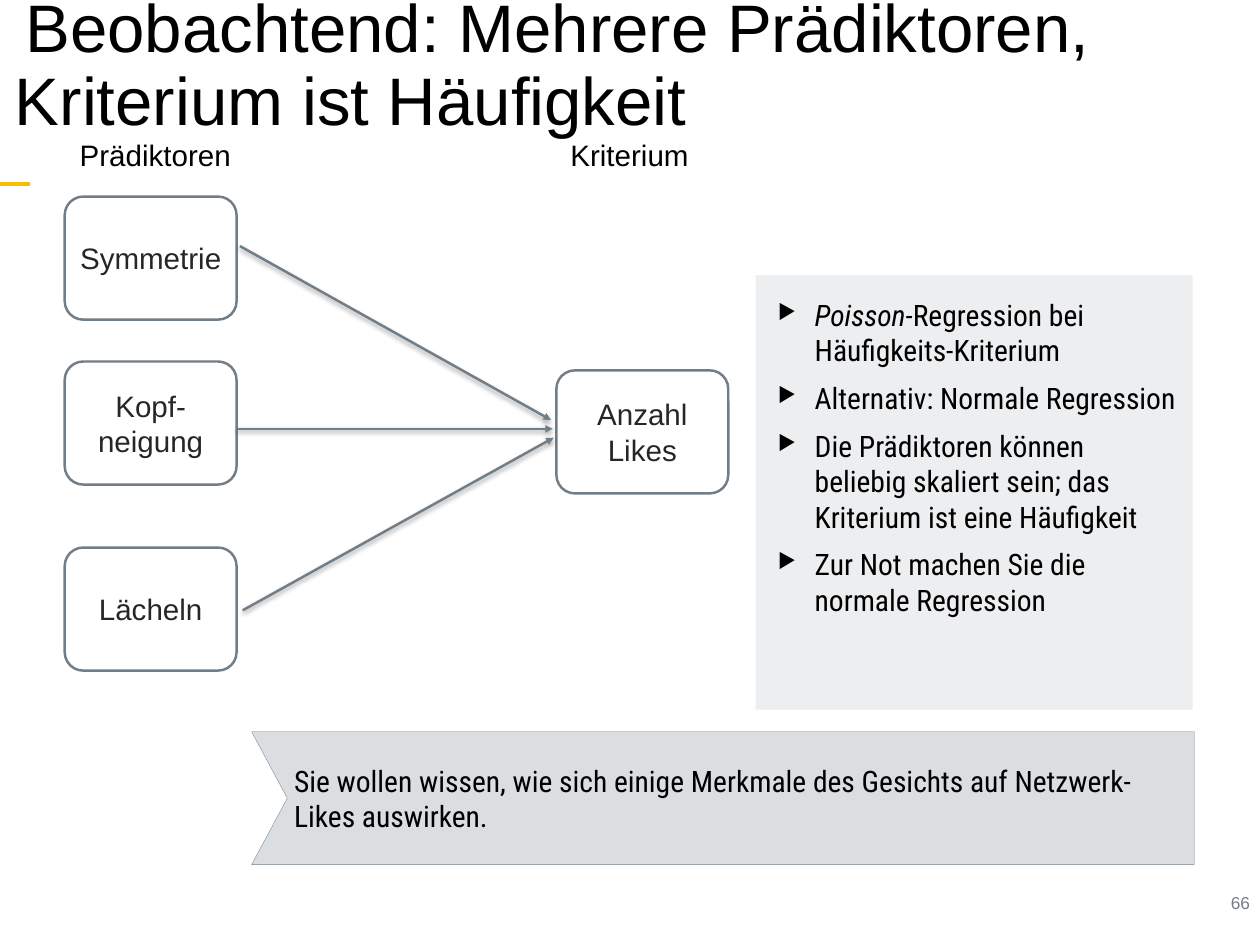
"""Build the slide on several predictors and a frequency criterion."""
from lxml import etree
from pptx import Presentation
from pptx import util as u
from pptx.dml.color import RGBColor
from pptx.enum import shapes, text
from pptx.oxml import parse_xml
from pptx.oxml.ns import nsdecls, qn

ANCHOR, ALIGN = text.MSO_ANCHOR, text.PP_ALIGN
SHAPE = shapes.MSO_SHAPE


def rgb(value):
    return RGBColor.from_string(value)


def points(values):
    return [u.Pt(v) for v in values]


def write(tf, content, size=24, font="Arial", color="000000", align=ALIGN.LEFT,
          anchor=ANCHOR.TOP, inset=5, wrap=True, spacing=1.0, before=0,
          left=0, first=0, bullet=None, italic=""):
    tf.word_wrap = wrap
    tf.vertical_anchor = anchor
    tf.margin_left = tf.margin_top = tf.margin_right = tf.margin_bottom = u.Pt(inset)
    for i, line in enumerate(content.split("\n")):
        p = tf.add_paragraph() if i else tf.paragraphs[0]
        ppr = p._p.get_or_add_pPr()
        ppr.set("marL", str(u.Pt(left)))
        ppr.set("indent", str(u.Pt(first)))
        if bullet:
            etree.SubElement(ppr, qn("a:buSzPct")).set("val", "70000")
            etree.SubElement(ppr, qn("a:buChar")).set("char", bullet)
        p.alignment = align
        p.line_spacing = spacing
        p.space_before = u.Pt(before if i else 0)
        lead = italic if line.startswith(italic) else ""
        for part, slanted in ((lead, True), (line[len(lead):], False)):
            if part:
                r = p.add_run()
                r.text = part
                r.font.size, r.font.name = u.Pt(size), font
                r.font.italic = slanted
                r.font.color.rgb = rgb(color)


class Deck:
    """Holds the style and the current slide."""
    gray = "717D87"
    body = "Roboto Condensed"

    def __init__(self, width, height):
        self.prs = Presentation()
        self.prs.slide_width, self.prs.slide_height = u.Pt(width), u.Pt(height)
        self.s = self.prs.slides.add_slide(self.prs.slide_layouts[6])

    def paint(self, sp, fill, line=None, width=0):
        sp.shadow.inherit = False
        sp.fill.solid()
        sp.fill.fore_color.rgb = rgb(fill)
        if line:
            sp.line.color.rgb = rgb(line)
            sp.line.width = u.Pt(width)
        else:
            sp.line.fill.background()

    def label(self, box, content, **fmt):
        sp = self.s.shapes.add_textbox(*points(box))
        write(sp.text_frame, content, **fmt)

    def panel(self, box, fill):
        self.paint(self.s.shapes.add_shape(SHAPE.RECTANGLE, *points(box)), fill)

    def node(self, x, y, content):
        sp = self.s.shapes.add_shape(SHAPE.ROUNDED_RECTANGLE, *points((x, y, 139.7, 100)))
        sp.adjustments[0] = 0.15
        self.paint(sp, "FFFFFF", self.gray, 2)
        write(sp.text_frame, content, color="262626", align=ALIGN.CENTER,
              anchor=ANCHOR.MIDDLE)

    def outline(self, corners, fill):
        start, *rest = [points(c) for c in corners]
        fb = self.s.shapes.build_freeform(*start)
        fb.add_line_segments(rest, close=True)
        self.paint(fb.convert_to_shape(), fill, self.gray, 0.25)

    def line(self, ends, color, width):
        c = self.s.shapes.add_connector(shapes.MSO_CONNECTOR.STRAIGHT, *points(ends))
        c.line.color.rgb = rgb(color)
        c.line.width = u.Pt(width)
        effects = etree.SubElement(c._element.spPr, qn("a:effectLst"))
        return c, effects

    def arrow(self, ends):
        c, effects = self.line(ends, self.gray, 2)
        etree.SubElement(c.line._get_or_add_ln(), qn("a:tailEnd")).set("type", "triangle")
        effects.append(parse_xml(
            f'<a:outerShdw {nsdecls("a")} blurRad="{u.Pt(4)}" dist="{u.Pt(2)}" '
            'dir="5400000" rotWithShape="0"><a:srgbClr val="000000">'
            '<a:alpha val="38000"/></a:srgbClr></a:outerShdw>'))


def main():
    d = Deck(1024, 768)
    d.line((0, 149.8, 24.5, 149.8), "F7BC05", 3)
    d.label((850.3, 720, 170.6, 26), "66", size=14, color=d.gray, align=ALIGN.RIGHT)
    d.label((0, -1.4, 1024.5, 111.6),
            "Beobachtend: Mehrere Prädiktoren, Kriterium ist Häufigkeit",
            size=54.6, anchor=ANCHOR.MIDDLE, inset=3.6, spacing=0.9, left=8.6, first=8.6)

    left, right, top, bottom = 204.5, 970.5, 594.7, 702.7
    d.outline([(left, top), (right, top), (right, bottom), (left, bottom),
               (left + 29, (top + bottom) / 2)], "DBDEE1")
    d.label((239, 607, 725.8, 83.5),
            "Sie wollen wissen, wie sich einige Merkmale des Gesichts auf "
            "Netzwerk-Likes auswirken.",
            font=d.body, anchor=ANCHOR.MIDDLE, inset=0)

    d.panel((614.2, 223.9, 355, 352.8), "EDEEF0")
    d.label((627.1, 236.2, 337.7, 264.2),
            "Poisson-Regression bei Häufigkeits-Kriterium\n"
            "Alternativ: Normale Regression\n"
            "Die Prädiktoren können beliebig skaliert sein; das Kriterium ist "
            "eine Häufigkeit\n"
            "Zur Not machen Sie die normale Regression",
            font=d.body, before=10, left=30, first=-30, bullet="▶", italic="Poisson-")

    d.node(452.2, 301, "Anzahl\nLikes")
    for y, name in ((159.8, "Symmetrie"), (293.8, "Kopf-\nneigung"), (445, "Lächeln")):
        d.node(52.6, y, name)
    for ends in ((195, 200, 447.8, 341.3), (192.3, 348.5, 449.3, 348.5),
                 (197.3, 496, 450, 355.7)):
        d.arrow(ends)
    for x, width, name in ((59.8, 134, "Prädiktoren"), (458.6, 107.3, "Kriterium")):
        d.label((x, 106.6, width, 37.4), name, wrap=False)
    d.prs.save("out.pptx")


if __name__ == "__main__":
    main()
